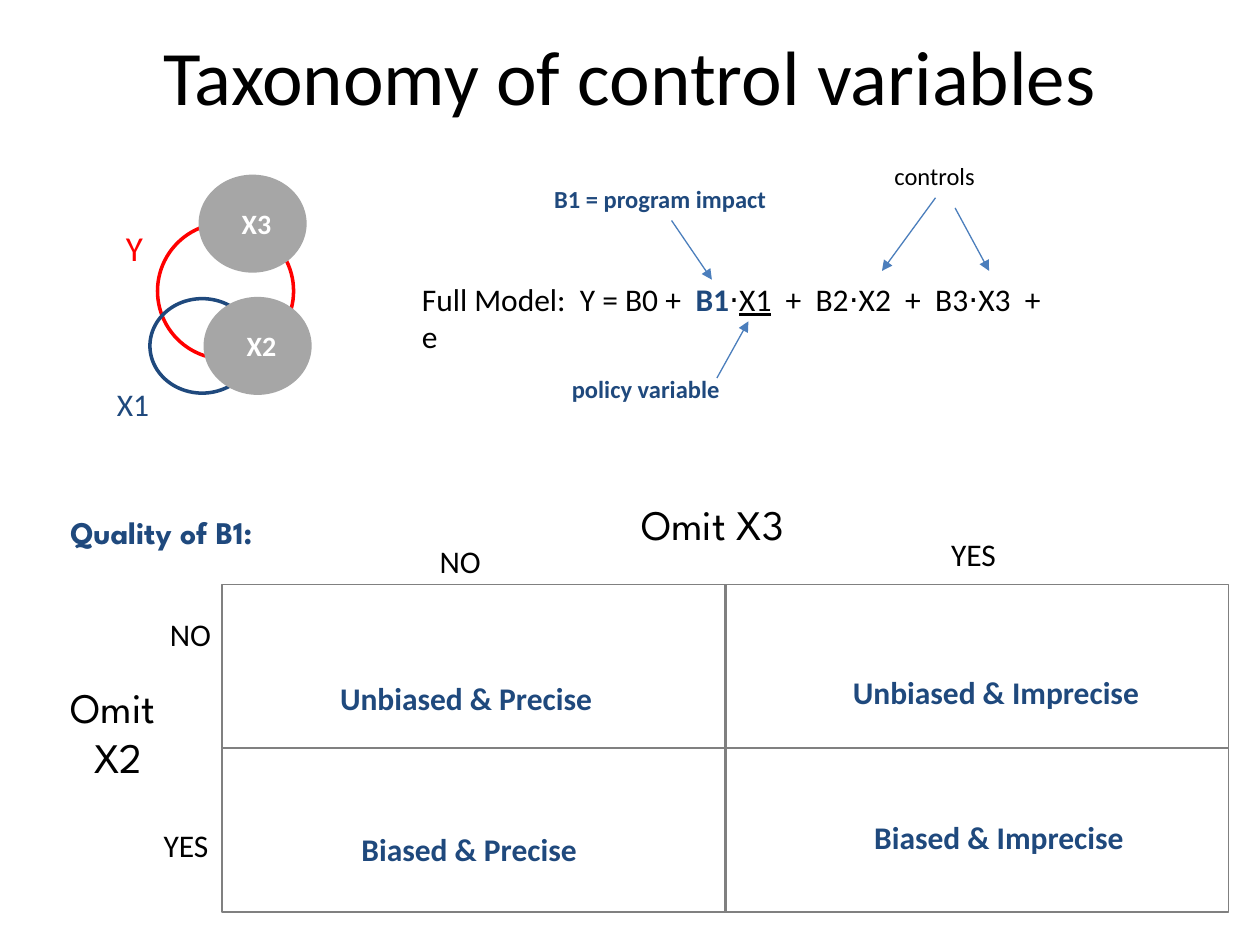
from dataclasses import dataclass

from lxml import etree
from pptx import Presentation
from pptx.dml.color import RGBColor
from pptx.enum.shapes import MSO_CONNECTOR, MSO_SHAPE
from pptx.enum.text import MSO_ANCHOR, PP_ALIGN
from pptx.oxml.ns import qn
from pptx.slide import Slide
from pptx.util import Inches, Pt

BLACK, WHITE, RED = "000000", "FFFFFF", "FF0000"
NAVY, GRAY, GRID, ARROW = "1F497D", "A6A6A6", "808080", "4B7EBC"


def color(hex_value):
    return RGBColor.from_string(hex_value)


@dataclass
class SlideBuilder:
    page: Slide
    font: str = "Calibri"
    display_font: str = "League Spartan"

    def shape(self, kind, left, top, width, height, line, weight, fill=None):
        shape = self.page.shapes.add_shape(
            kind, Inches(left), Inches(top), Inches(width), Inches(height))
        shape.shadow.inherit = False
        if fill:
            shape.fill.solid()
            shape.fill.fore_color.rgb = color(fill)
        else:
            shape.fill.background()
        shape.line.color.rgb = color(line)
        shape.line.width = Pt(weight)
        return shape

    def circle(self, left, top, width, height, line, fill=None):
        return self.shape(MSO_SHAPE.OVAL, left, top, width, height, line, 2, fill)

    def text(self, left, top, width, height, lines, size=18, ink=BLACK,
             bold=False, font=None, align=PP_ALIGN.LEFT, wrap=False,
             anchor=MSO_ANCHOR.TOP):
        """Add a text box; each line is a list of (words, overrides) runs or a string."""
        box = self.page.shapes.add_textbox(
            Inches(left), Inches(top), Inches(width), Inches(height))
        frame = box.text_frame
        frame.word_wrap = wrap
        frame.vertical_anchor = anchor
        for index, line in enumerate(lines):
            para = frame.add_paragraph() if index else frame.paragraphs[0]
            para.alignment = align
            runs = [(line, {})] if isinstance(line, str) else line
            for words, changes in runs:
                span = para.add_run()
                span.text = words
                span.font.name = font or self.font
                span.font.size = Pt(size)
                span.font.bold = changes.get("bold", bold)
                span.font.underline = changes.get("underline", False)
                span.font.color.rgb = color(changes.get("ink", ink))
        return box

    def arrow(self, start, end, source=None):
        """Draw an arrow, leaving from the bottom of source when one is given."""
        line = self.page.shapes.add_connector(
            MSO_CONNECTOR.STRAIGHT, *(Inches(value) for value in (*start, *end)))
        if source is not None:
            line.begin_connect(source, 2)
        line.line.color.rgb = color(ARROW)
        line.line.width = Pt(0.75)
        outline = line.line._get_or_add_ln()
        etree.SubElement(outline, qn("a:tailEnd"), type="triangle")
        etree.SubElement(line._element.spPr, qn("a:effectLst"))


def add_venn(builder):
    builder.circle(1.25, 1.77, 1.08, 1.08, RED)
    builder.circle(1.19, 2.37, 0.83, 0.75, NAVY)
    for name, left, top in (("X3", 1.59, 1.4), ("X2", 1.63, 2.37)):
        builder.circle(left, top, 0.83, 0.75, GRAY, GRAY)
        builder.text(left + 0.23, top + 0.19, 0.44, 0.37, [name], 16, WHITE, True)
    builder.text(0.83, 3.01, 0.46, 0.4, ["X1"], ink=NAVY)
    builder.text(0.9, 1.75, 0.34, 0.44, ["Y"], 20, RED)


def add_model(builder):
    equation = [
        ("Full Model:  Y = B0 +  ", {}),
        ("B1", {"ink": NAVY, "bold": True}),
        ("⋅", {}),
        ("X1", {"underline": True}),
        ("  +  B2⋅X2  +  B3⋅X3  +  e", {}),
    ]
    builder.text(3.25, 2.17, 5.33, 0.4, [equation], wrap=True)
    controls = builder.text(7, 1.23, 0.85, 0.34, ["controls"], 14)
    builder.text(4.3, 1.41, 1.9, 0.34, ["B1 = program impact"], 14, NAVY, True)
    builder.text(4.44, 2.92, 1.38, 0.34, ["policy variable"], 14, NAVY, True)
    builder.arrow((7.42, 1.57), (7, 2.15), controls)
    builder.arrow((7.58, 1.65), (7.85, 2.15))
    builder.arrow((5.69, 3), (5.94, 2.55))
    builder.arrow((5.33, 1.75), (5.65, 2.22))


def add_quality_grid(builder):
    for top in (4.64, 5.94):
        for left in (1.76, 5.75):
            builder.shape(MSO_SHAPE.RECTANGLE, left, top, 4, 1.3, GRID, 1)

    display = builder.display_font
    builder.text(0.46, 4.02, 1.88, 0.4, ["Quality of B1:"], ink=NAVY, bold=True,
                 font=display)
    builder.text(4.99, 3.91, 1.47, 0.5, ["Omit X3"], 24, font=display)
    builder.text(0.4, 5.36, 1.08, 0.91, ["Omit ", "X2"], 24, font=display,
                 align=PP_ALIGN.CENTER)

    for answer, left, top, width in (
            ("NO", 3.39, 4.25, 0.53), ("YES", 7.45, 4.2, 0.56),
            ("NO", 1.25, 4.83, 0.53), ("YES", 1.2, 6.51, 0.56)):
        builder.text(left, top, width, 0.4, [answer])

    for verdict, left, top, width in (
            ("Unbiased & Precise", 2.6, 5.34, 2.22),
            ("Unbiased & Imprecise", 6.67, 5.29, 2.49),
            ("Biased & Precise", 2.77, 6.54, 1.92),
            ("Biased & Imprecise", 6.84, 6.44, 2.2)):
        builder.text(left, top, width, 0.4, [verdict], ink=NAVY, bold=True)


def main():
    deck = Presentation()
    deck.slide_width, deck.slide_height = Inches(10), Inches(7.5)
    builder = SlideBuilder(deck.slides.add_slide(deck.slide_layouts[6]))
    builder.text(0.5, -0.03, 9, 1.25, ["Taxonomy of control variables"], 44,
                 align=PP_ALIGN.CENTER, wrap=True, anchor=MSO_ANCHOR.MIDDLE)
    add_venn(builder)
    add_model(builder)
    add_quality_grid(builder)
    deck.save("out.pptx")


if __name__ == "__main__":
    main()
